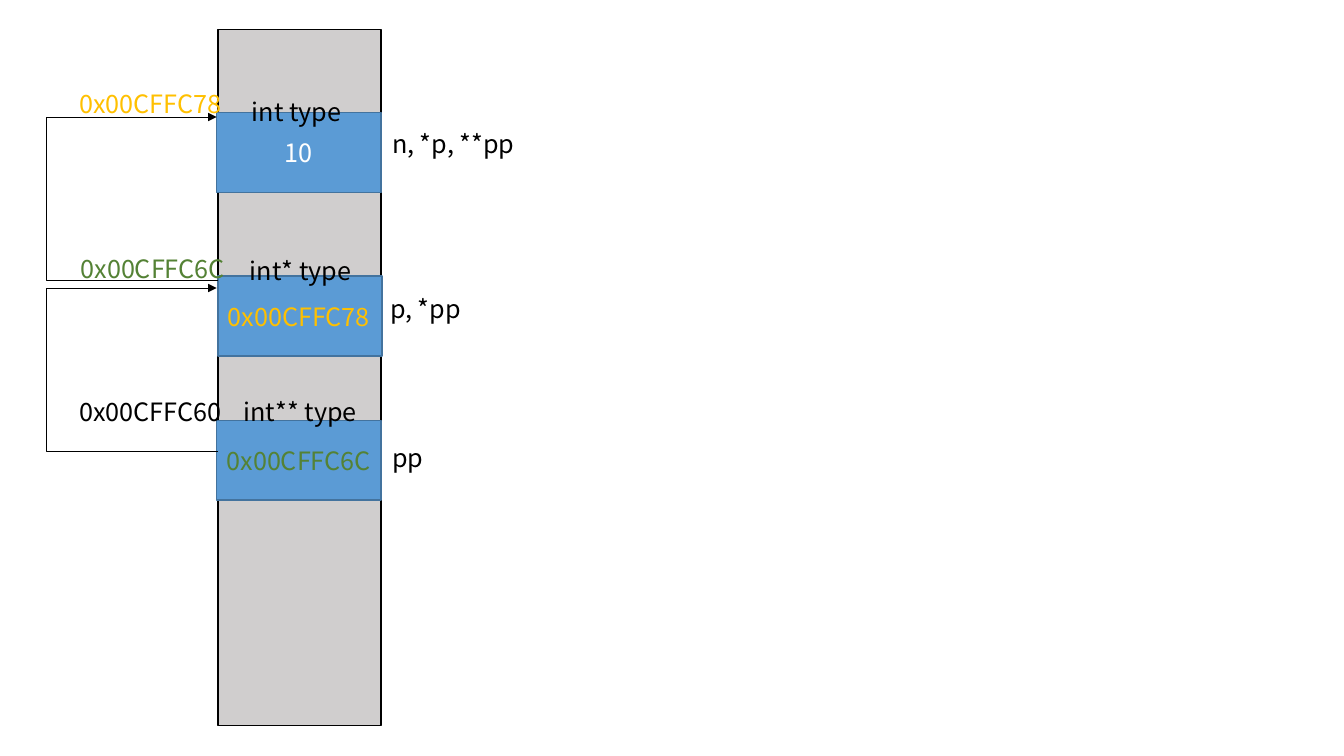
"""Draw a memory column showing an int, a pointer and a pointer to a pointer."""
from dataclasses import dataclass

from lxml.etree import SubElement
from pptx import Presentation
from pptx.dml.color import RGBColor
from pptx.enum.shapes import MSO_CONNECTOR, MSO_SHAPE
from pptx.enum.text import MSO_ANCHOR, PP_ALIGN
from pptx.oxml.ns import qn
from pptx.shapes.autoshape import Shape
from pptx.slide import Slide
from pptx.util import Cm, Pt


@dataclass(frozen=True)
class Theme:
    font: str = "Noto Sans CJK KR"
    size: float = 18
    black: str = "000000"
    white: str = "FFFFFF"
    gold: str = "FFC000"
    green: str = "548235"
    memory: str = "D0CECE"
    cell: str = "5B9BD5"
    cell_line: str = "43739E"
    outline: float = 1
    arrow_line: float = 0.5


@dataclass(frozen=True)
class Label:
    text: str
    left: float
    top: float
    width: float
    color: str


@dataclass(frozen=True)
class Cell:
    left: float
    top: float
    value: str
    color: str
    align: PP_ALIGN
    labels: tuple[Label, ...]


@dataclass(frozen=True)
class PointerArrow:
    start_y: float
    end_y: float


THEME = Theme()
CELL_WIDTH, CELL_HEIGHT = 4.14, 2.01
LABEL_HEIGHT = 1.02
ARROW_START_X, ARROW_END_X, ARROW_LEFT = 5.49, 5.46, 1.17

CELLS = (
    Cell(5.46, 2.84, "10", THEME.white, PP_ALIGN.CENTER, (
        Label("0x00CFFC78", 1.75, 2.11, 4.45, THEME.gold),
        Label("int type", 6.1, 2.31, 2.95, THEME.black),
        Label("n, *p, **pp", 9.63, 3.1, 4.22, THEME.black),
    )),
    Cell(5.49, 6.96, "0x00CFFC78", THEME.gold, PP_ALIGN.LEFT, (
        Label("0x00CFFC6C", 1.78, 6.25, 4.45, THEME.green),
        Label("int* type", 6.05, 6.32, 3.23, THEME.black),
        Label("p, *pp", 9.58, 7.26, 2.69, THEME.black),
    )),
    Cell(5.46, 10.59, "0x00CFFC6C", THEME.green, PP_ALIGN.LEFT, (
        Label("0x00CFFC60", 1.75, 9.86, 4.45, THEME.black),
        Label("int** type", 5.89, 9.86, 3.99, THEME.black),
        Label("pp", 9.63, 11.02, 1.4, THEME.black),
    )),
)
ARROWS = (PointerArrow(7.06, 2.95), PointerArrow(11.38, 7.26))


def write(box: Shape, text: str, color: str, align: PP_ALIGN = PP_ALIGN.LEFT) -> None:
    box.text_frame.word_wrap = True
    para = box.text_frame.paragraphs[0]
    para.alignment = align
    span = para.add_run()
    span.text = text
    span.font.name = THEME.font
    span.font.size = Pt(THEME.size)
    span.font.color.rgb = RGBColor.from_string(color)


def add_rectangle(page: Slide, left: float, top: float, width: float,
                  height: float, fill: str, line: str) -> Shape:
    box = page.shapes.add_shape(
        MSO_SHAPE.RECTANGLE, Cm(left), Cm(top), Cm(width), Cm(height))
    box.shadow.inherit = False
    box.fill.solid()
    box.fill.fore_color.rgb = RGBColor.from_string(fill)
    box.line.color.rgb = RGBColor.from_string(line)
    box.line.width = Pt(THEME.outline)
    return box


def add_label(page: Slide, label: Label) -> None:
    box = page.shapes.add_textbox(
        Cm(label.left), Cm(label.top), Cm(label.width), Cm(LABEL_HEIGHT))
    write(box, label.text, label.color)


def add_cell(page: Slide, cell: Cell) -> None:
    box = add_rectangle(page, cell.left, cell.top, CELL_WIDTH, CELL_HEIGHT,
                        THEME.cell, THEME.cell_line)
    box.text_frame.vertical_anchor = MSO_ANCHOR.MIDDLE
    write(box, cell.value, cell.color, cell.align)
    for label in cell.labels:
        add_label(page, label)


def add_arrow(page: Slide, arrow: PointerArrow) -> None:
    connector = page.shapes.add_connector(
        MSO_CONNECTOR.ELBOW, Cm(ARROW_START_X), Cm(arrow.start_y),
        Cm(ARROW_END_X), Cm(arrow.end_y))
    connector.line.color.rgb = RGBColor.from_string(THEME.black)
    connector.line.width = Pt(THEME.arrow_line)
    reach = (ARROW_START_X - ARROW_LEFT) / (ARROW_START_X - ARROW_END_X)
    properties = connector.element.spPr
    adjustments = properties.find(qn("a:prstGeom")).find(qn("a:avLst"))
    SubElement(adjustments, qn("a:gd"), name="adj1", fmla=f"val {round(reach * 100000)}")
    SubElement(properties.find(qn("a:ln")), qn("a:tailEnd"), type="triangle")
    SubElement(properties, qn("a:effectLst"))


def main() -> None:
    deck = Presentation()
    deck.slide_width, deck.slide_height = Cm(33.87), Cm(19.05)
    page = deck.slides.add_slide(deck.slide_layouts[6])
    add_rectangle(page, 5.49, 0.74, 4.11, 17.55, THEME.memory, THEME.black)
    for cell in CELLS:
        add_cell(page, cell)
    for arrow in ARROWS:
        add_arrow(page, arrow)
    deck.save("out.pptx")


if __name__ == "__main__":
    main()
